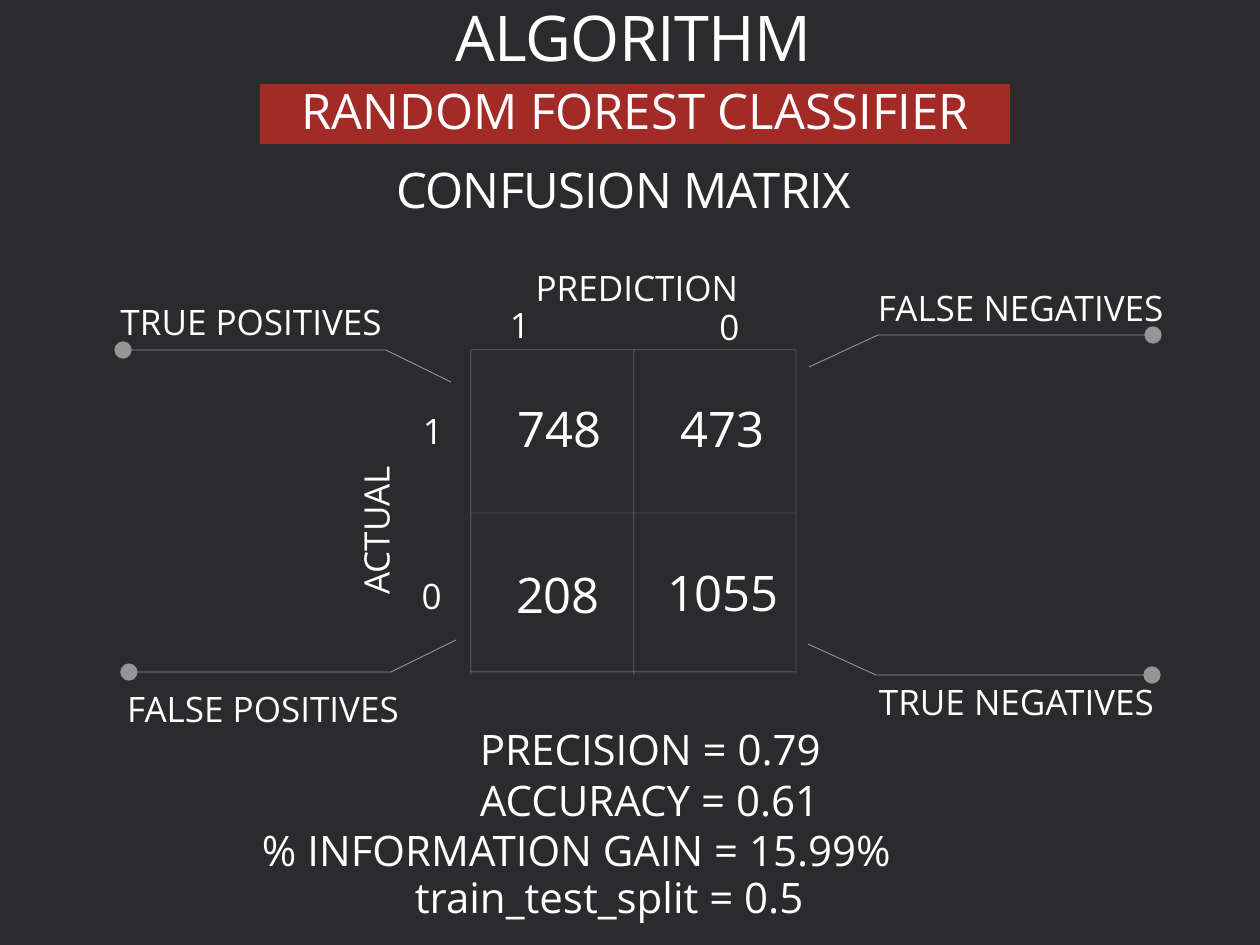
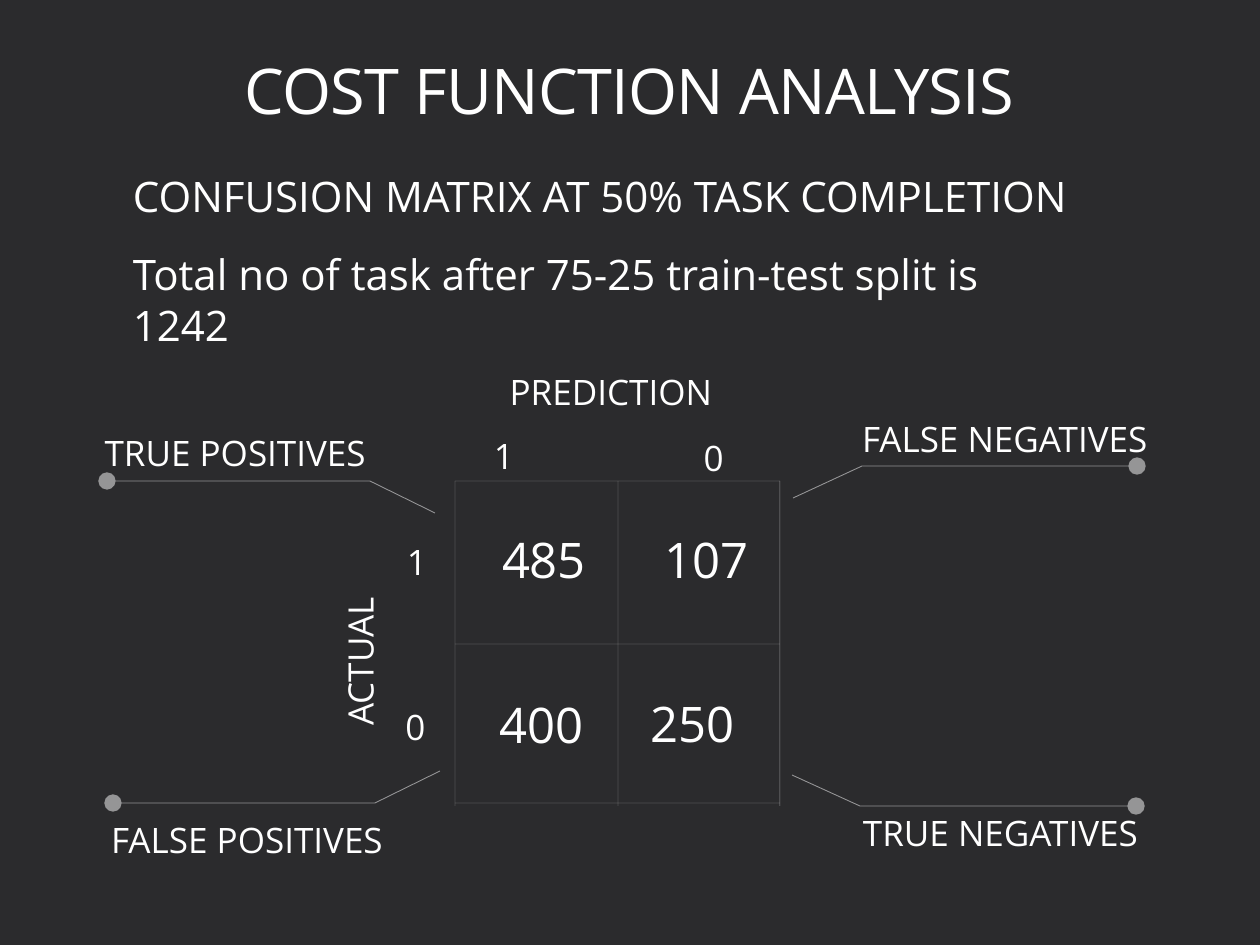
"""Build two slides that explain a classifier through its confusion matrix."""
from lxml.etree import SubElement
from pptx import Presentation
from pptx.dml.color import RGBColor
from pptx.enum.shapes import MSO_CONNECTOR, MSO_SHAPE
from pptx.enum.text import MSO_ANCHOR, PP_ALIGN
from pptx.oxml.ns import qn
from pptx.util import Pt

SCALE = 914400 / 126
BACKGROUND = RGBColor(0x2B, 0x2B, 0x2D)
BAND = RGBColor(0xA2, 0x2B, 0x28)
WHITE = RGBColor(0xFF, 0xFF, 0xFF)
FONT = "Open Sans"

INSET = {"margin_left": 13, "margin_right": 13, "margin_top": 6, "margin_bottom": 6}
TIGHT = INSET | {"margin_left": 0, "margin_right": 0}
BARE = dict.fromkeys(INSET, 0)
CENTER = {"alignment": PP_ALIGN.CENTER}
HEADING = CENTER | {"line_spacing": 0.86}
LABEL = {"line_spacing": 0.9}
LABEL_RIGHT = LABEL | {"alignment": PP_ALIGN.RIGHT}

GRID = 325
AXIS_MARKS = [("1", 0, -53, 98), ("0", 211, -51, 95), ("1", -87, 53, 98), ("0", -87, 218, 95)]
VALUE_PLACES = [(34, 42), (197, 42), (32, 208), (183, 206)]
CALLOUTS = [
    ("TRUE POSITIVES", (-394, -51, 318), LABEL_RIGHT, [(-20, 32), (-85, 0), (-348, 0)]),
    ("FALSE NEGATIVES", (394, -65, 319), LABEL, [(338, 17), (407, -15), (682, -15)]),
    ("FALSE POSITIVES", (-358, 336, 299), LABEL_RIGHT, [(-15, 290), (-80, 322), (-342, 322)]),
    ("TRUE NEGATIVES", (395, 329, 318), LABEL, [(337, 294), (405, 325), (681, 325)]),
]


def px(length):
    """Turn px into EMU."""
    return round(length * SCALE)


def apply(target, formats):
    """Set every format value on the target."""
    for name, value in formats.items():
        setattr(target, name, value)


class Deck:
    """Hold the presentation style and the current slide."""

    def __init__(self):
        """Start an empty presentation."""
        self.presentation = Presentation()
        self.presentation.slide_width = px(1260)
        self.presentation.slide_height = px(945)
        self.slide = None

    def add_slide(self):
        """Add a blank dark slide and make it current."""
        self.slide = self.presentation.slides.add_slide(self.presentation.slide_layouts[6])
        fill = self.slide.background.fill
        fill.solid()
        fill.fore_color.rgb = BACKGROUND

    def fill_text(self, shape, lines, size, formats, insets, anchor, spacing=None, indents=()):
        """Write the lines into a shape."""
        frame = shape.text_frame
        frame.word_wrap = True
        frame.vertical_anchor = anchor
        apply(frame, {name: px(value) for name, value in insets.items()})
        for index, line in enumerate(lines):
            paragraph = frame.add_paragraph() if index else frame.paragraphs[0]
            apply(paragraph, formats)
            if indents:
                paragraph._p.get_or_add_pPr().set("marL", str(px(indents[index])))
            run = paragraph.add_run()
            run.text = line
            apply(run.font, {"size": Pt(size), "name": FONT})
            run.font.color.rgb = WHITE
            if spacing:
                run._r.get_or_add_rPr().set("spc", str(spacing))

    def text(self, lines, box, size, formats=None, insets=INSET, anchor=MSO_ANCHOR.TOP,
             rotation=0, **options):
        """Add a text box."""
        shape = self.slide.shapes.add_textbox(*map(px, box))
        shape.rotation = rotation
        self.fill_text(shape, lines, size, formats or {}, insets, anchor, **options)

    def heading(self, line, box, size=36):
        """Add a centred heading."""
        self.text([line], box, size, HEADING, BARE, MSO_ANCHOR.MIDDLE, spacing=-40)

    def band(self, line, box):
        """Add a coloured band with centred text."""
        shape = self.slide.shapes.add_shape(MSO_SHAPE.RECTANGLE, *map(px, box))
        shape.shadow.inherit = False
        shape.fill.solid()
        shape.fill.fore_color.rgb = BAND
        shape.line.fill.background()
        self.fill_text(shape, [line], 28, CENTER | LABEL, dict.fromkeys(INSET, 1),
                       MSO_ANCHOR.MIDDLE)

    def style_line(self, shape, width):
        """Give a line half-transparent white and return its XML element."""
        shape.line.width = Pt(width)
        shape.line.color.rgb = WHITE
        outline = shape.element.spPr.find(qn("a:ln"))
        color = outline.find(".//" + qn("a:srgbClr"))
        SubElement(color, qn("a:alpha"), val="50000")
        return outline

    def line(self, start, end):
        """Add a thin straight line."""
        connector = self.slide.shapes.add_connector(
            MSO_CONNECTOR.STRAIGHT, *map(px, (*start, *end)))
        self.style_line(connector, 0.25)
        SubElement(connector.element.spPr, qn("a:effectLst"))

    def leader(self, points):
        """Add a bent leader that ends in a dot."""
        builder = self.slide.shapes.build_freeform(*points[0], scale=SCALE)
        builder.add_line_segments(points[1:], close=False)
        shape = builder.convert_to_shape()
        shape.shadow.inherit = False
        shape.fill.background()
        outline = self.style_line(shape, 0.5)
        SubElement(outline, qn("a:tailEnd"), type="oval", w="lg", len="lg")

    def matrix(self, left, top, values, prediction):
        """Add a labelled confusion matrix with its four callouts."""
        for label, (x, y, width), formats, points in CALLOUTS:
            self.leader([(left + dx, top + dy) for dx, dy in points])
            self.text([label], (left + x, top + y, width, 50), 20, formats)
        for x in (0, 163, GRID):
            self.line((left + x, top), (left + x, top + GRID))
        for y in (0, 163, 322):
            self.line((left, top + y), (left + GRID, top + y))
        for mark, x, y, width in AXIS_MARKS:
            self.text([mark], (left + x, top + y, width, 55), 20, CENTER, TIGHT)
        for value, (x, y) in zip(values, VALUE_PLACES):
            self.text([value], (left + x, top + y, 142, 72), 28)
        self.text(["PREDICTION"], (*prediction, 328, 55), 20, CENTER, TIGHT)
        self.text(["ACTUAL"], (left - 259, top + 153, 328, 55), 20, CENTER, TIGHT, rotation=270)


def main():
    """Build both slides and save them."""
    deck = Deck()
    deck.add_slide()
    deck.heading("ALGORITHM", (98, 0, 1071, 84))
    deck.band("RANDOM FOREST CLASSIFIER", (260, 84, 750, 60))
    deck.heading("CONFUSION MATRIX", (88, 145, 1071, 96), 28)
    deck.matrix(471, 350, ["748", "473", "208", "1055"], (473, 260))
    deck.text(["PRECISION = 0.79", "ACCURACY = 0.61", "% INFORMATION GAIN = 15.99%"],
              (249, 718, 847, 165), 24, indents=(218, 218, 0))
    deck.text(["train_test_split = 0.5"], (402, 866, 767, 63), 24)

    deck.add_slide()
    deck.heading("COST FUNCTION ANALYSIS", (94, 39, 1071, 112))
    deck.text(["CONFUSION MATRIX AT 50% TASK COMPLETION"], (120, 165, 1046, 63), 24)
    deck.text(["Total no of task after 75-25 train-test split is 1242"],
              (120, 243, 976, 113), 24)
    deck.matrix(455, 481, ["485", "107", "400", "250"], (447, 364))
    deck.presentation.save("out.pptx")


if __name__ == "__main__":
    main()
